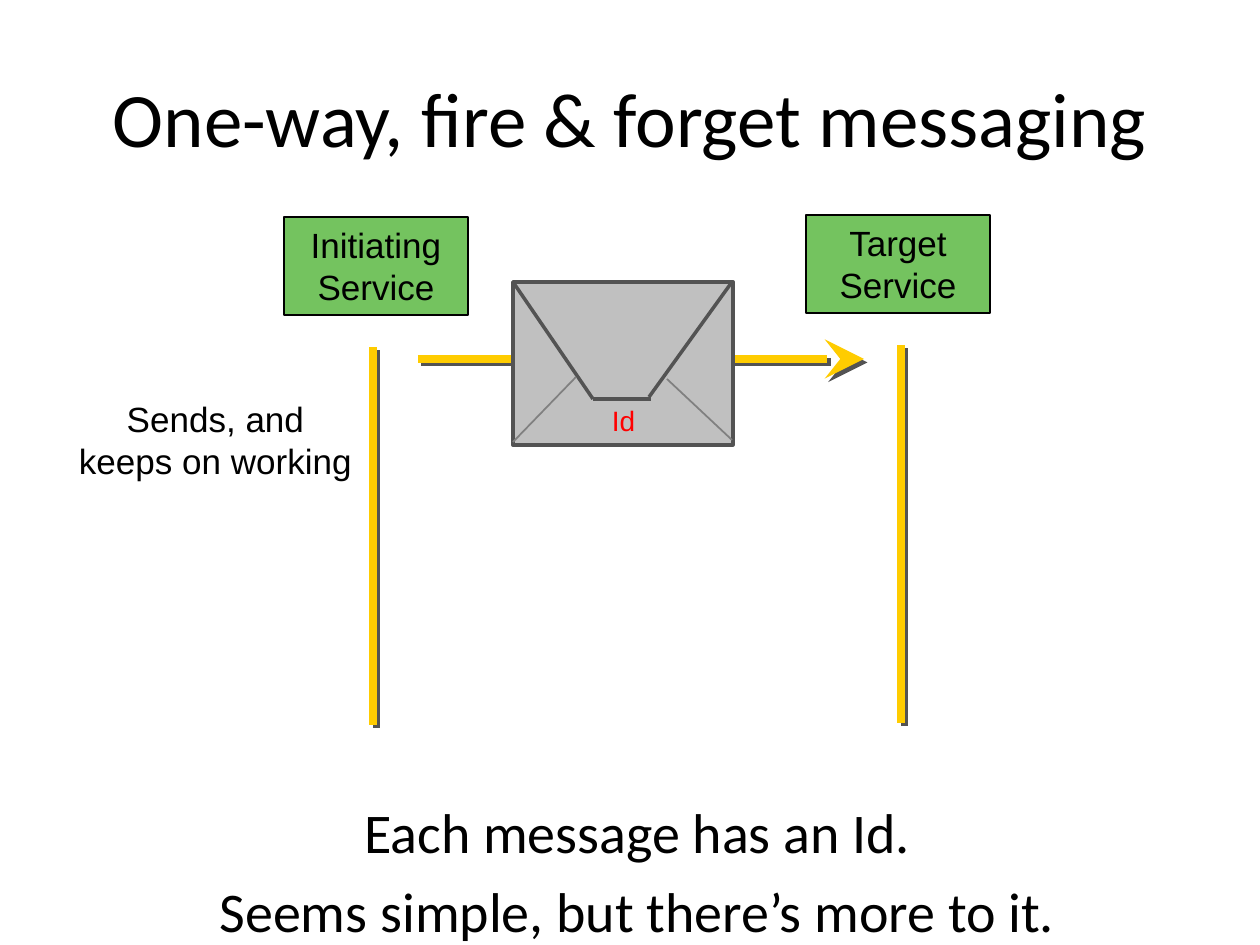
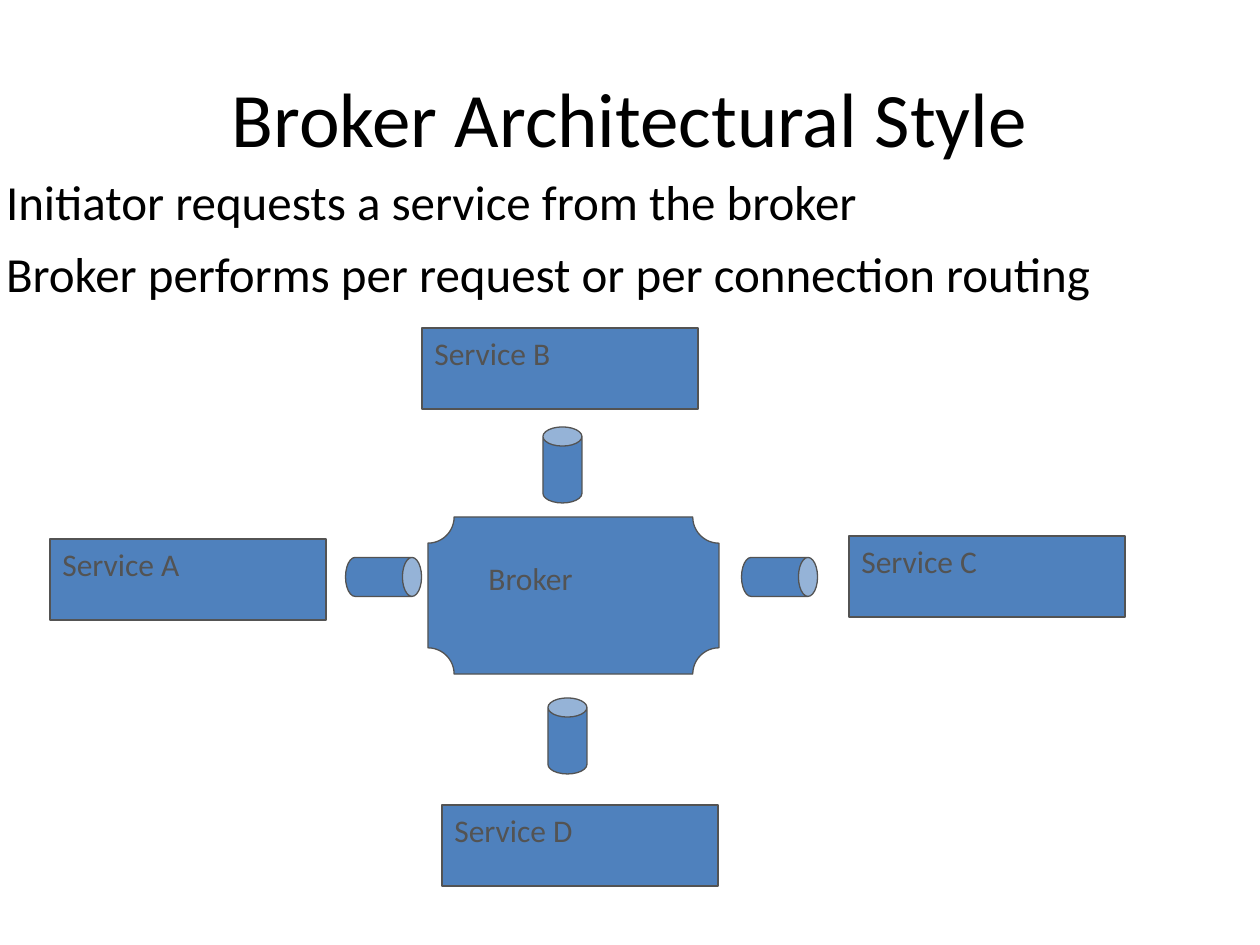
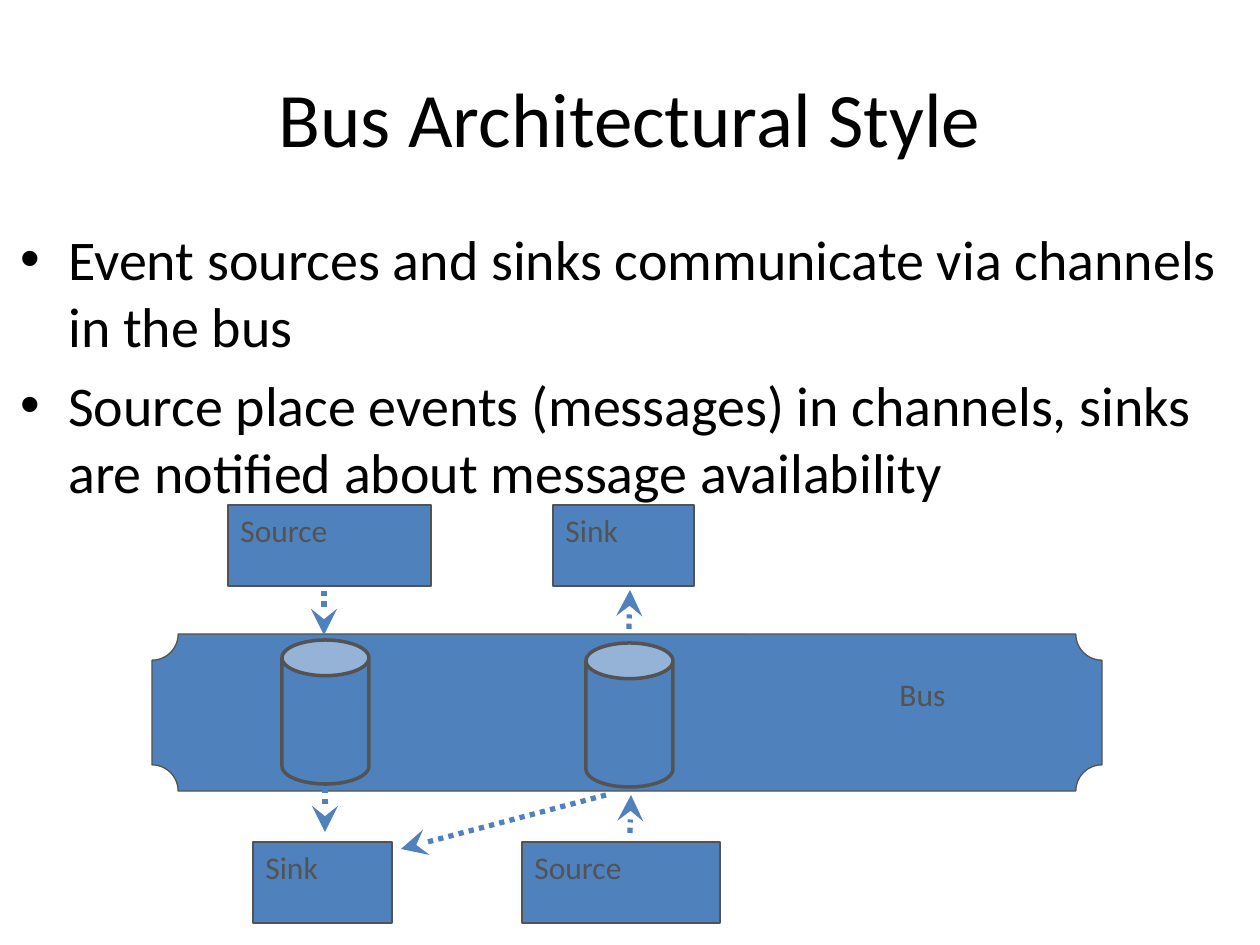
from pptx import Presentation
from pptx.dml.color import RGBColor
from pptx.enum.dml import MSO_LINE
from pptx.enum.shapes import MSO_CONNECTOR, MSO_SHAPE
from pptx.enum.text import MSO_ANCHOR, MSO_AUTO_SIZE, PP_ALIGN
from pptx.oxml.ns import qn
from pptx.util import Emu, Pt
from lxml.etree import SubElement

PX = 914400 / 126
BLACK = RGBColor(0x00, 0x00, 0x00)
RED = RGBColor(0xFF, 0x00, 0x00)
GOLD = RGBColor(0xFF, 0xCC, 0x00)
GREEN = RGBColor(0x74, 0xC3, 0x5F)
BLUE = RGBColor(0x4F, 0x81, 0xBD)
SILVER = RGBColor(0xC0, 0xC0, 0xC0)
GREY = RGBColor(0x80, 0x80, 0x80)
DARK = RGBColor(0x53, 0x53, 0x53)
RECT, CAN, PLAQUE = MSO_SHAPE.RECTANGLE, MSO_SHAPE.CAN, MSO_SHAPE.PLAQUE


def box(slide, kind, spot, text="", fill=BLUE, edge=DARK, width=0.75,
        font="Calibri", size=18, color=DARK, align=PP_ALIGN.LEFT):
    """Add a filled shape, or a plain text box when kind is None."""
    place = [Emu(round(n * PX)) for n in spot]
    if kind is None:
        shape = slide.shapes.add_textbox(*place)
    else:
        shape = slide.shapes.add_shape(kind, *place)
        shape.shadow.inherit = False
        shape.fill.solid()
        shape.fill.fore_color.rgb = fill
        shape.line.color.rgb = edge
        shape.line.width = Pt(width)
    if text:
        frame = shape.text_frame
        frame.word_wrap = True
        frame.vertical_anchor = MSO_ANCHOR.TOP
        frame.text = text
        para = frame.paragraphs[0]
        para.alignment = align
        run = para.runs[0].font
        run.name, run.size, run.color.rgb = font, Pt(size), color
    return shape


def link(slide, ends, color, width, arrow=False, dots=False, shade=False):
    """Draw a straight line, with an arrowhead, dots or a shadow if asked."""
    place = [Emu(round(n * PX)) for n in ends]
    line = slide.shapes.add_connector(MSO_CONNECTOR.STRAIGHT, *place)
    line.line.color.rgb = color
    line.line.width = Pt(width)
    if dots:
        line.line.dash_style = MSO_LINE.ROUND_DOT
    props = line._element.spPr
    if arrow:
        SubElement(props.find(qn("a:ln")), qn("a:tailEnd"),
                   type="stealth", w="lg", len="lg")
    effects = SubElement(props, qn("a:effectLst"))
    if shade:
        shadow = SubElement(effects, qn("a:outerShdw"), dist=str(Pt(2.8)),
                            dir="2700000", algn="ctr", rotWithShape="0")
        SubElement(shadow, qn("a:srgbClr"), val=str(DARK))


deck = Presentation()
deck.slide_width = Emu(round(1260 * PX))
deck.slide_height = Emu(round(945 * PX))

# Titles and body text: title, body place, size, alignment, bullets, lines
PAGES = [
    ("One-way, fire & forget messaging", (15, 791, 1245, 154), 32,
     PP_ALIGN.CENTER, False,
     ["Each message has an Id.", "Seems simple, but there’s more to it."]),
    ("Broker Architectural Style", (0, 166, 1260, 136), 28,
     PP_ALIGN.LEFT, False,
     ["Initiator requests a service from the broker",
      "Broker performs per request or per connection routing"]),
    ("Bus Architectural Style", (15, 218, 1228, 275), 32,
     PP_ALIGN.LEFT, True,
     ["Event sources and sinks communicate via channels in the bus",
      "Source place events (messages) in channels, sinks are notified "
      "about message availability"]),
]
for head, spot, size, align, bullets, lines in PAGES:
    slide = deck.slides.add_slide(deck.slide_layouts[1])
    title, body = slide.shapes.title, slide.placeholders[1]
    title.text_frame.text = head
    body.text_frame.text = "\n".join(lines)
    for holder, place, points, side, anchor in (
            (title, (63, 13, 1134, 208), 44, PP_ALIGN.CENTER, MSO_ANCHOR.MIDDLE),
            (body, spot, size, align, MSO_ANCHOR.TOP)):
        holder.left, holder.top, holder.width, holder.height = [
            Emu(round(n * PX)) for n in place]
        frame = holder.text_frame
        frame.auto_size = MSO_AUTO_SIZE.NONE
        frame.word_wrap = True
        frame.vertical_anchor = anchor
        frame.margin_left = frame.margin_right = Emu(round(6 * PX))
        frame.margin_top = frame.margin_bottom = Emu(round(6 * PX))
        for order, para in enumerate(frame.paragraphs):
            para.alignment = side
            para.space_before = Pt(7 if order else 0)
            if holder is body and not bullets:
                SubElement(para._p.get_or_add_pPr(), qn("a:buNone"))
            run = para.runs[0].font
            run.name, run.size, run.color.rgb = "Calibri", Pt(points), BLACK

oneway, broker, bus = deck.slides

# One-way messaging: envelope on an arrow between two lifelines
link(oneway, (418, 359, 864, 359), GOLD, 4.5, arrow=True, shade=True)
box(oneway, RECT, (513, 282, 220, 163), fill=SILVER, width=2)
for flap in ((513, 282, 593, 399), (649, 397, 732, 282), (593, 399, 651, 399)):
    link(oneway, flap, DARK, 2)
for fold in ((513, 442, 576, 377), (667, 379, 732, 440)):
    link(oneway, fold, GREY, 1)
for name, left, top, life in (("Initiating Service", 284, 217, 373),
                              ("Target Service", 806, 215, 901)):
    box(oneway, RECT, (left, top, 184, 98), name, fill=GREEN, edge=BLACK,
        font="Arial", size=20, color=BLACK, align=PP_ALIGN.CENTER)
    link(oneway, (life, top + 130, life, top + 508), GOLD, 4.5, shade=True)
for note, spot, size, color in (
        ("Sends, and keeps on working", (63, 391, 305, 139), 20, BLACK),
        ("Id", (509, 397, 229, 47), 16, RED)):
    box(oneway, None, spot, note, font="Arial", size=size, color=color,
        align=PP_ALIGN.CENTER)

# Broker: four services around a plaque, joined by pipes
for name, left, top in (("A", 50, 539), ("B", 422, 328),
                        ("C", 849, 536), ("D", 442, 805)):
    box(broker, RECT, (left, top, 276, 81), f"Service {name}")
box(broker, PLAQUE, (428, 517, 291, 157))
box(broker, None, (476, 553, 197, 79), "Broker")
for left, top, turn in ((543, 427, 0), (548, 698, 0),
                        (760, 539, 90), (364, 539, 90)):
    pipe = box(broker, CAN, (left, top, 39, 76))
    pipe.adjustments[0] = 0.49
    pipe.rotation = turn

# Bus: two channels in a wide plaque, sources and sinks above and below
for name, left, top, width in (("Sink", 253, 842, 139), ("Source", 228, 505, 203),
                               ("Sink", 553, 505, 141), ("Source", 522, 842, 198)):
    box(bus, RECT, (left, top, width, 81), name)
box(bus, PLAQUE, (152, 634, 950, 157))
box(bus, None, (887, 669, 197, 79), "Bus")
for left, top in ((282, 640), (586, 643)):
    pipe = box(bus, CAN, (left, top, 87, 144), width=2)
    pipe.adjustments[0] = 0.41
for ends in ((630, 833, 631, 795), (629, 629, 630, 590), (606, 795, 401, 849),
             (324, 591, 324, 635), (325, 788, 325, 832)):
    link(bus, ends, BLUE, 3, arrow=True, dots=True)

deck.save("out.pptx")
